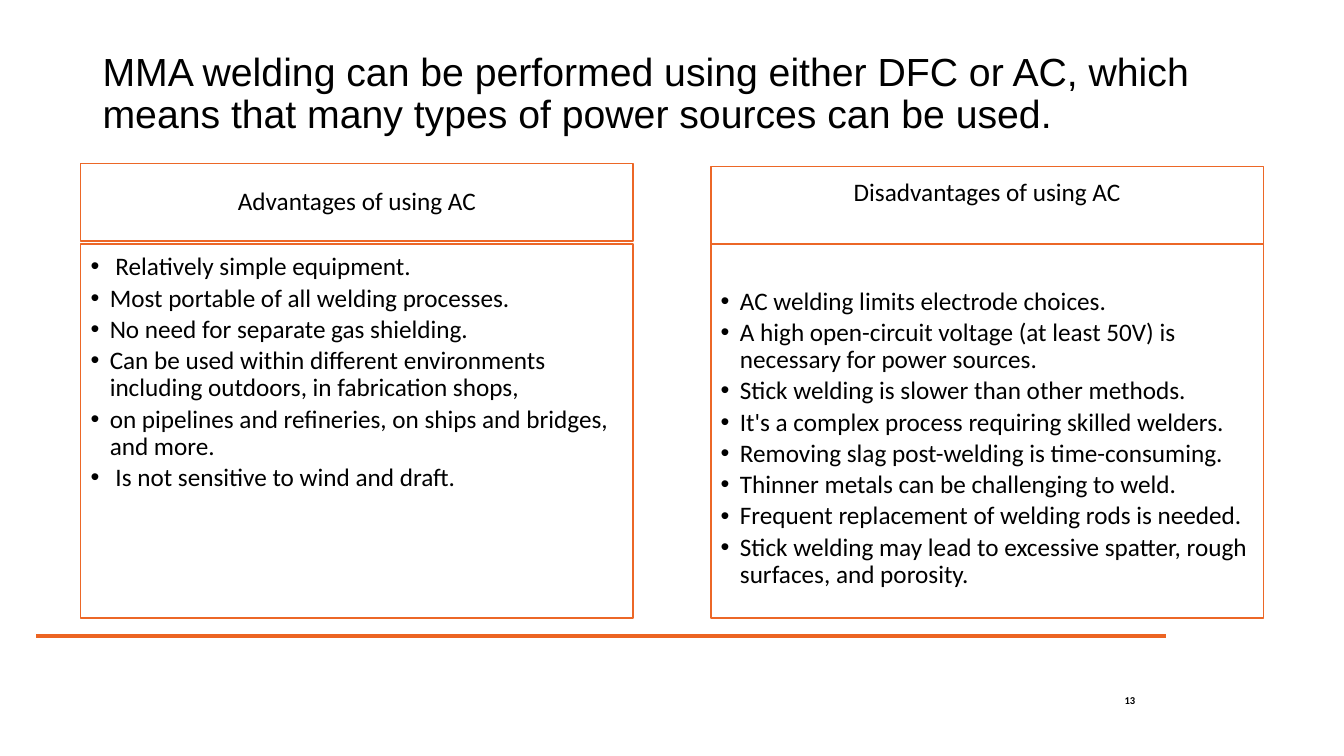
from pptx import Presentation
from pptx.dml.color import RGBColor as RGB
from pptx.enum.shapes import MSO_CONNECTOR as Link, MSO_SHAPE as Shape
from pptx.enum.text import MSO_ANCHOR as Anchor, PP_ALIGN as Align
from pptx.oxml.ns import qn
from pptx.util import Inches, Pt
from lxml import etree

# Content
TITLE = ("MMA welding can be performed using either DFC or AC, which means "
         "that many types of power sources can be used.")
PAGE = "13"
# Each panel: left, head top, head bottom inset, body top inset, head, points
PANELS = [
    (0.8, 1.62, 0.08, 0.1, "Advantages of using AC", [
        " Relatively simple equipment.",
        "Most portable of all welding processes.",
        "No need for separate gas shielding.",
        "Can be used within different environments including outdoors, "
        "in fabrication shops,",
        "on pipelines and refineries, on ships and bridges, and more.",
        " Is not sensitive to wind and draft.",
    ]),
    (7.05, 1.65, 0.32, 0.44, "Disadvantages of using AC", [
        "AC welding limits electrode choices.",
        "A high open-circuit voltage (at least 50V) is necessary for "
        "power sources.",
        "Stick welding is slower than other methods.",
        "It's a complex process requiring skilled welders.",
        "Removing slag post-welding is time-consuming.",
        "Thinner metals can be challenging to weld.",
        "Frequent replacement of welding rods is needed.",
        "Stick welding may lead to excessive spatter, rough surfaces, "
        "and porosity.",
    ]),
]

# Look
HUES = {"paper": "FFFFFF", "ink": "000000", "edge": "EC6727", "rule": "EC6422"}
WIDE, HEAD, BODY, BODY_TOP = 5.48, 0.77, 3.71, 2.42
TITLE_FONT = {"name": "Arial", "size": Pt(28)}
TEXT_FONT = {"name": "Calibri", "size": Pt(18)}
PAGE_FONT = {"name": "Calibri", "size": Pt(7.5), "bold": True}
TITLE_PARA = {"line_spacing": 0.9}
HEAD_PARA = {"line_spacing": 0.9, "alignment": Align.CENTER}
BODY_PARA = {"line_spacing": 0.9, "alignment": Align.LEFT,
             "space_after": Pt(2.9)}
PAGE_PARA = {"alignment": Align.RIGHT}


def hue(name):
    return RGB.from_string(HUES[name])


def apply(item, look):
    for key, val in look.items():
        setattr(item, key, val)


def write(shape, lines, font, para, inset, anchor=Anchor.MIDDLE, dots=False):
    frame = shape.text_frame
    apply(frame, {"word_wrap": True, "vertical_anchor": anchor})
    for side, gap in zip(("left", "top", "right", "bottom"), inset):
        setattr(frame, "margin_" + side, Inches(gap))
    for num, line in enumerate(lines):
        par = frame.add_paragraph() if num else frame.paragraphs[0]
        apply(par, para)
        run = par.add_run()
        run.text = line
        apply(run.font, font)
        run.font.color.rgb = hue("ink")
        if dots:
            props = par._p.get_or_add_pPr()
            props.set("marL", str(Inches(0.19)))
            props.set("indent", str(-Inches(0.19)))
            etree.SubElement(props, qn("a:buFont")).set("typeface", "Arial")
            etree.SubElement(props, qn("a:buChar")).set("char", "•")


def box(*at):
    rect = slide.shapes.add_shape(Shape.RECTANGLE, *map(Inches, at))
    rect.shadow.inherit = False
    rect.fill.solid()
    rect.fill.fore_color.rgb = hue("paper")
    rect.line.color.rgb = hue("edge")
    rect.line.width = Pt(1)
    return rect


def label(*at):
    return slide.shapes.add_textbox(*map(Inches, at))


deck = Presentation()
deck.slide_width, deck.slide_height = Inches(13.33), Inches(7.5)
slide = deck.slides.add_slide(deck.slide_layouts[6])

# Rule and page number
rule = slide.shapes.add_connector(
    Link.STRAIGHT, *map(Inches, (0.36, 6.31, 11.56, 6.31)))
rule.line.color.rgb = hue("rule")
rule.line.width = Pt(2.25)
etree.SubElement(rule._element.spPr, qn("a:effectLst"))
write(label(10.72, 6.83, 0.54, 0.24), [PAGE], PAGE_FONT, PAGE_PARA, [0] * 4)

# Title
write(label(0.92, 0.4, 11.5, 1.08), [TITLE], TITLE_FONT, TITLE_PARA,
      (0.1, 0.05, 0.1, 0.05))

# Panels
for left, top, low, drop, head, points in PANELS:
    write(box(left, top, WIDE, HEAD), [head], TEXT_FONT, HEAD_PARA,
          (0.14, 0.08, 0.14, low))
    write(box(left, BODY_TOP, WIDE, BODY), points, TEXT_FONT, BODY_PARA,
          (0.1, drop, 0.14, 0.16), Anchor.TOP, dots=True)

deck.save("out.pptx")
